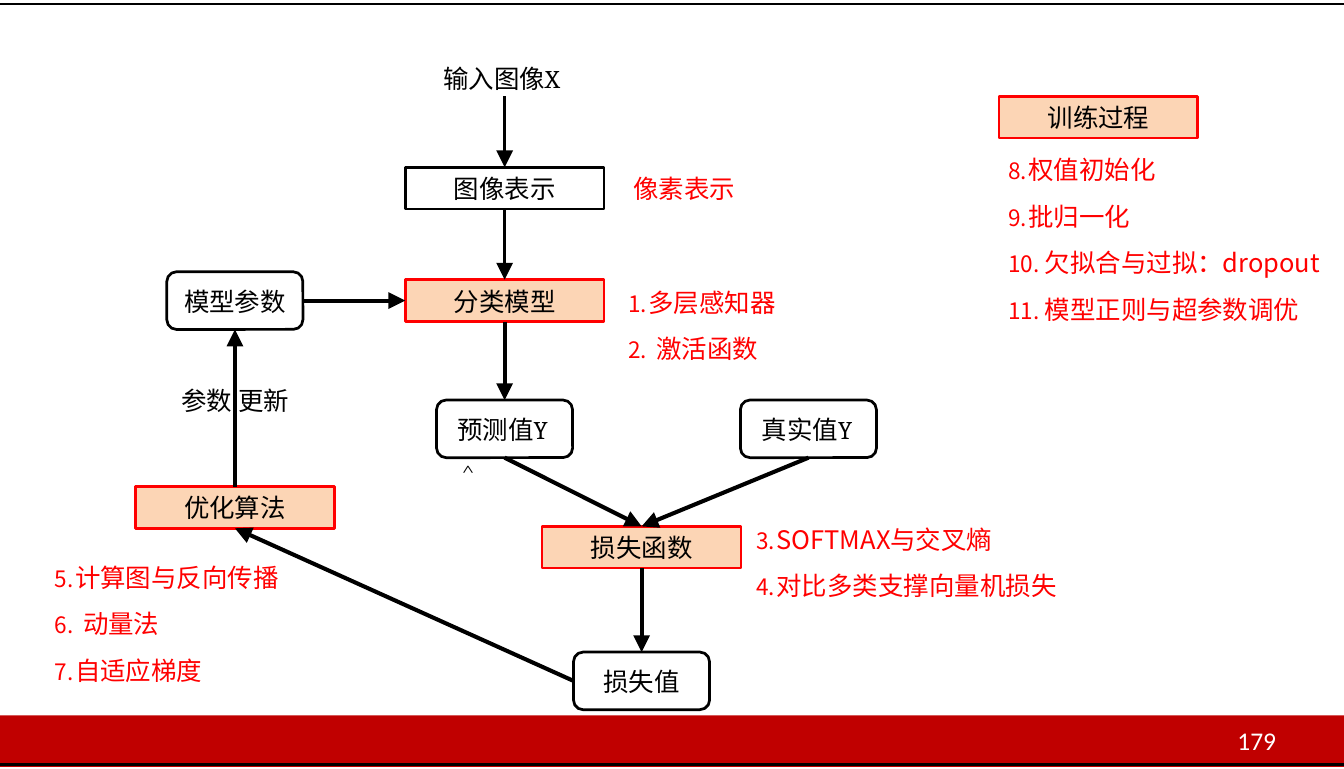
from dataclasses import dataclass
from typing import Optional

from lxml import etree
from pptx import Presentation, util as u
from pptx.dml.color import RGBColor
from pptx.enum import shapes, text
from pptx.oxml.ns import qn

BLACK = RGBColor(0x00, 0x00, 0x00)
WHITE = RGBColor(0xFF, 0xFF, 0xFF)
RED = RGBColor(0xFF, 0x00, 0x00)
DARK_RED = RGBColor(0xC0, 0x00, 0x00)
PEACH = RGBColor(0xFC, 0xD5, 0xB5)

SANS, SERIF, DIGITS = "Noto Sans CJK SC", "Cambria", "Calibri"
SLIDE_W, SLIDE_H = 475.92, 272.16
STEP_SIZE = (70.4, 14.8)
VALUE_SIZE = (48.2, 20.4)
THIN, THICK = 0.96, 1.44
TOP, LEFT, BOTTOM, RIGHT = range(4)


@dataclass(frozen=True)
class Node:
    key: str
    center: float
    top: float
    label: str = ""
    value: bool = False
    learned: bool = False


@dataclass(frozen=True)
class Arrow:
    start: str
    start_site: int
    end: str
    end_site: int
    width: float = THICK


@dataclass(frozen=True)
class Label:
    left: float
    top: float
    width: float
    words: str
    variable: str = ""
    hat: str = ""
    color: RGBColor = BLACK
    line: float = 11


@dataclass(frozen=True)
class Topics:
    left: float
    top: float
    width: float
    first: int
    items: tuple[tuple[str, float], ...]


NODES = [
    Node("image", 178.7, 59.2, "图像表示"),
    Node("model", 178.7, 99, "分类模型", learned=True),
    Node("loss", 227.2, 186.3, "损失函数", learned=True),
    Node("optimizer", 83.2, 172.2, "优化算法", learned=True),
    Node("training", 389, 34.1, "训练过程", learned=True),
    Node("parameters", 83.2, 96.2, "模型参数", value=True),
    Node("prediction", 178.7, 141.6, value=True),
    Node("truth", 286.3, 141.6, value=True),
    Node("loss value", 227.2, 230.8, "损失值", value=True),
]
ARROWS = [
    Arrow("image", BOTTOM, "model", TOP, THIN),
    Arrow("parameters", RIGHT, "model", LEFT),
    Arrow("model", BOTTOM, "prediction", TOP),
    Arrow("prediction", BOTTOM, "loss", TOP),
    Arrow("truth", BOTTOM, "loss", TOP),
    Arrow("loss", BOTTOM, "loss value", TOP),
    Arrow("loss value", LEFT, "optimizer", BOTTOM),
    Arrow("optimizer", TOP, "parameters", BOTTOM),
]
LABELS = [
    Label(157.1, 22.3, 43.2, "输入图像", "X"),
    Label(162, 141.2, 33, "预测值", "Y", "＾", line=16),
    Label(269.8, 146.2, 33.8, "真实值", "Y"),
    Label(64.3, 136, 40, "参数 更新"),
    Label(224.2, 61.2, 38, "像素表示", color=RED),
]
TOPICS = [
    Topics(222.4, 101.3, 56, 1, (("多层感知器", 7.2), ("激活函数", 10))),
    Topics(267.8, 185.2, 110, 3, (("SOFTMAX与交叉熵", 7.2), ("对比多类支撑向量机损失", 7.2))),
    Topics(19.4, 198.7, 82, 5, (("计算图与反向传播", 7.2), ("动量法", 10), ("自适应梯度", 7.2))),
    Topics(357, 54.5, 114, 8, (("权值初始化", 7.2), ("批归一化", 7.2),
                               ("欠拟合与过拟：dropout", 13), ("模型正则与超参数调优", 13))),
]


def write(p, txt: str, *, font: str = SANS, size: float = 9, color: RGBColor = BLACK,
          spacing: float = 0, raised: int = 0, line: float = 11) -> None:
    p.line_spacing = u.Pt(line)
    r = p.add_run()
    r.text = txt
    r.font.size = u.Pt(size)
    r.font.color.rgb = color
    r.font.name = font
    props = r._r.get_or_add_rPr()
    etree.SubElement(props, qn("a:ea"), typeface=font)
    if spacing:
        props.set("spc", str(round(spacing * 100)))
    if raised:
        props.set("baseline", str(raised * 1000))


def clear_margins(tf) -> None:
    tf.margin_left = tf.margin_right = tf.margin_top = tf.margin_bottom = 0
    tf.word_wrap = True


def add_box(s, left: float, top: float, width: float, height: float):
    tf = s.shapes.add_textbox(u.Pt(left), u.Pt(top), u.Pt(width), u.Pt(height)).text_frame
    clear_margins(tf)
    return tf


def add_panel(s, kind, left: float, top: float, width: float, height: float,
              fill: Optional[RGBColor], line: Optional[RGBColor]):
    sp = s.shapes.add_shape(kind, u.Pt(left), u.Pt(top), u.Pt(width), u.Pt(height))
    sp.shadow.inherit = False
    if fill is None:
        sp.fill.background()
    else:
        sp.fill.solid()
        sp.fill.fore_color.rgb = fill
    if line is None:
        sp.line.fill.background()
    else:
        sp.line.color.rgb = line
        sp.line.width = u.Pt(THIN)
    return sp


def add_node(s, node: Node):
    kind = shapes.MSO_SHAPE.ROUNDED_RECTANGLE if node.value else shapes.MSO_SHAPE.RECTANGLE
    width, height = VALUE_SIZE if node.value else STEP_SIZE
    sp = add_panel(s, kind, node.center - width / 2, node.top, width, height,
                   PEACH if node.learned else None, RED if node.learned else BLACK)
    if node.label:
        tf = sp.text_frame
        clear_margins(tf)
        tf.vertical_anchor = text.MSO_ANCHOR.MIDDLE
        p = tf.paragraphs[0]
        p.alignment = text.PP_ALIGN.CENTER
        write(p, node.label)
    return sp


def add_line(s, x1: float, y1: float, x2: float, y2: float, width: float = THIN,
             arrow: bool = False):
    c = s.shapes.add_connector(shapes.MSO_CONNECTOR.STRAIGHT,
                               u.Pt(x1), u.Pt(y1), u.Pt(x2), u.Pt(y2))
    c.line.color.rgb = BLACK
    c.line.width = u.Pt(width)
    if arrow:
        etree.SubElement(c.line._get_or_add_ln(), qn("a:tailEnd"), type="triangle")
    etree.SubElement(c._element.spPr, qn("a:effectLst"))
    return c


def add_label(s, label: Label) -> None:
    p = add_box(s, label.left, label.top, label.width, 13).paragraphs[0]
    write(p, label.words, color=label.color, line=label.line)
    if label.variable:
        write(p, label.variable, font=SERIF, line=label.line)
    if label.hat:
        write(p, label.hat, font=SERIF, size=13.5, spacing=-7.3, raised=9, line=label.line)


def add_topics(s, topics: Topics) -> None:
    tf = add_box(s, topics.left, topics.top, topics.width, 16.4 * len(topics.items))
    for i, (words, indent) in enumerate(topics.items):
        p = tf.add_paragraph() if i else tf.paragraphs[0]
        props = p._p.get_or_add_pPr()
        props.set("marL", str(u.Pt(indent)))
        props.set("indent", str(-u.Pt(indent)))
        etree.SubElement(props, qn("a:buSzPct"), val="89000")
        etree.SubElement(props, qn("a:buFont"), typeface=SANS)
        etree.SubElement(props, qn("a:buAutoNum"), type="arabicPeriod", startAt=str(topics.first))
        tabs = etree.SubElement(props, qn("a:tabLst"))
        etree.SubElement(tabs, qn("a:tab"), pos=str(u.Pt(indent)), algn="l")
        if i:
            p.space_before = u.Pt(5.4)
        write(p, words, color=RED)


def main() -> None:
    prs = Presentation()
    prs.slide_width, prs.slide_height = u.Pt(SLIDE_W), u.Pt(SLIDE_H)
    s = prs.slides.add_slide(prs.slide_layouts[6])

    add_panel(s, shapes.MSO_SHAPE.RECTANGLE, 0, 253.2, SLIDE_W, 18.3, DARK_RED, None)
    for y in (1.4, 270.5):
        add_line(s, 0, y, SLIDE_W, y)

    nodes = {node.key: add_node(s, node) for node in NODES}
    feed = add_line(s, 178.7, 34, 178.7, 59.2, THIN, arrow=True)
    feed.end_connect(nodes["image"], TOP)
    for arrow in ARROWS:
        c = add_line(s, 0, 0, 0, 0, arrow.width, arrow=True)
        c.begin_connect(nodes[arrow.start], arrow.start_site)
        c.end_connect(nodes[arrow.end], arrow.end_site)

    for label in LABELS:
        add_label(s, label)
    for topics in TOPICS:
        add_topics(s, topics)
    write(add_box(s, 438.2, 257.8, 16, 10.8).paragraphs[0], "179",
          font=DIGITS, color=WHITE, line=9.6)
    prs.save("out.pptx")


if __name__ == "__main__":
    main()
